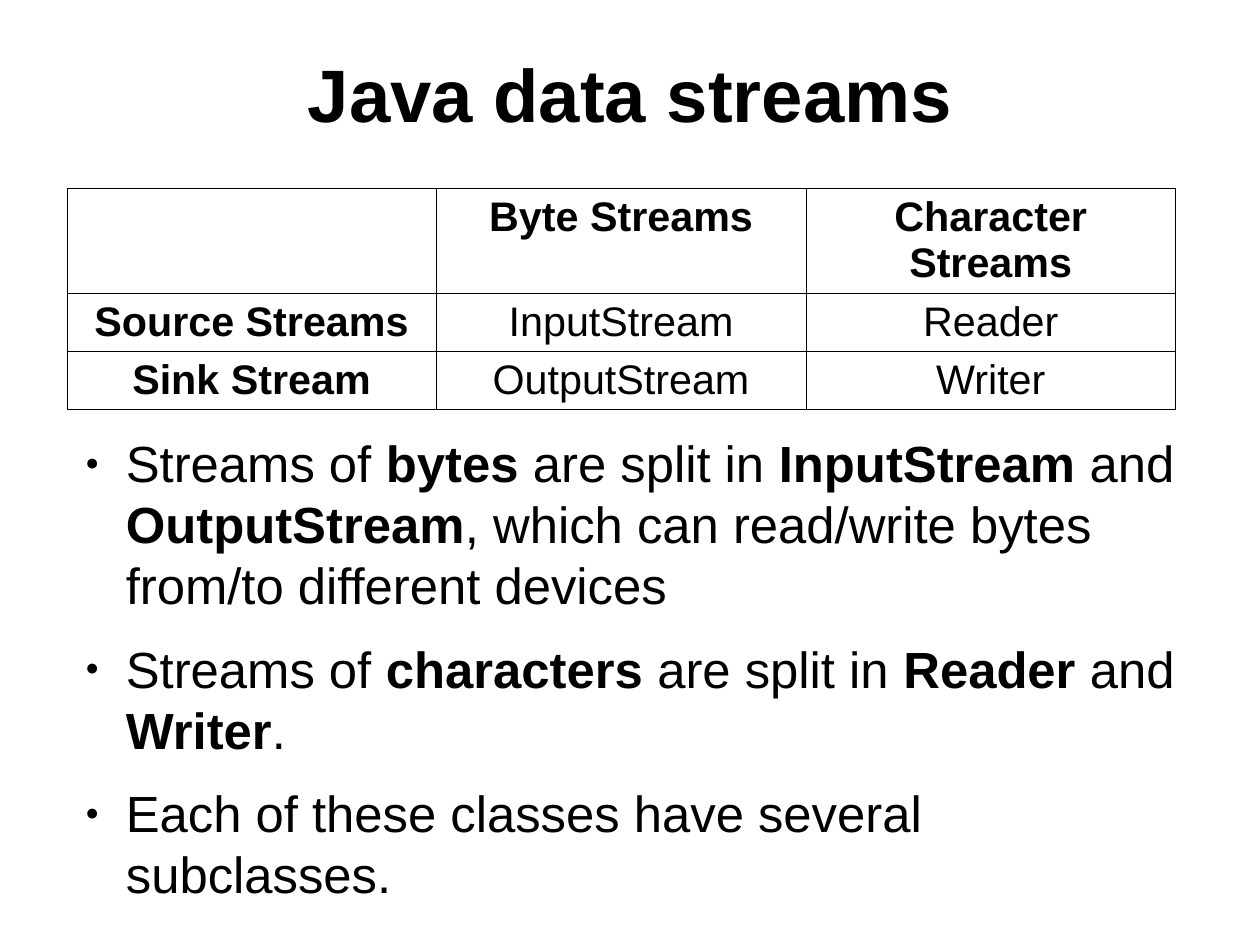
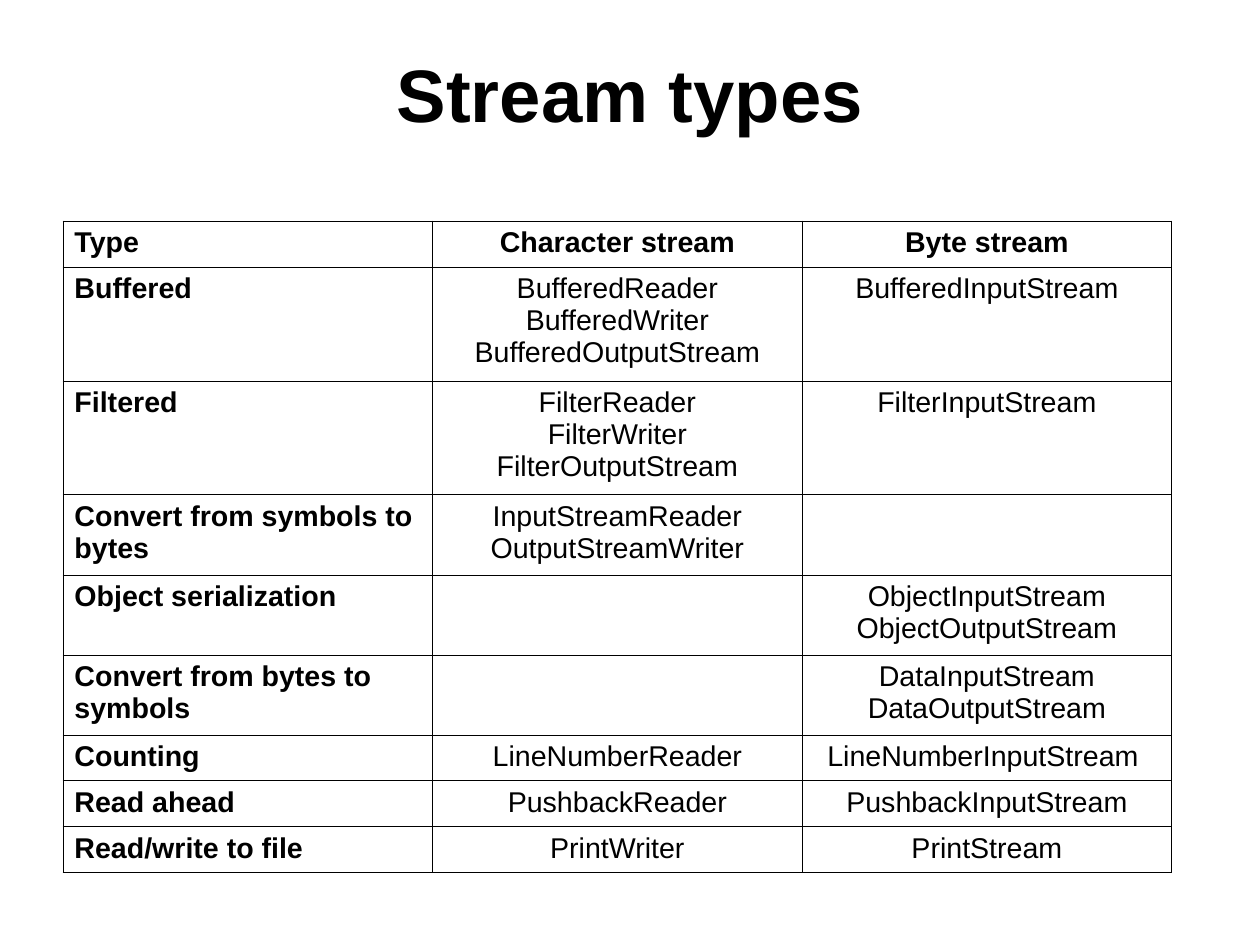
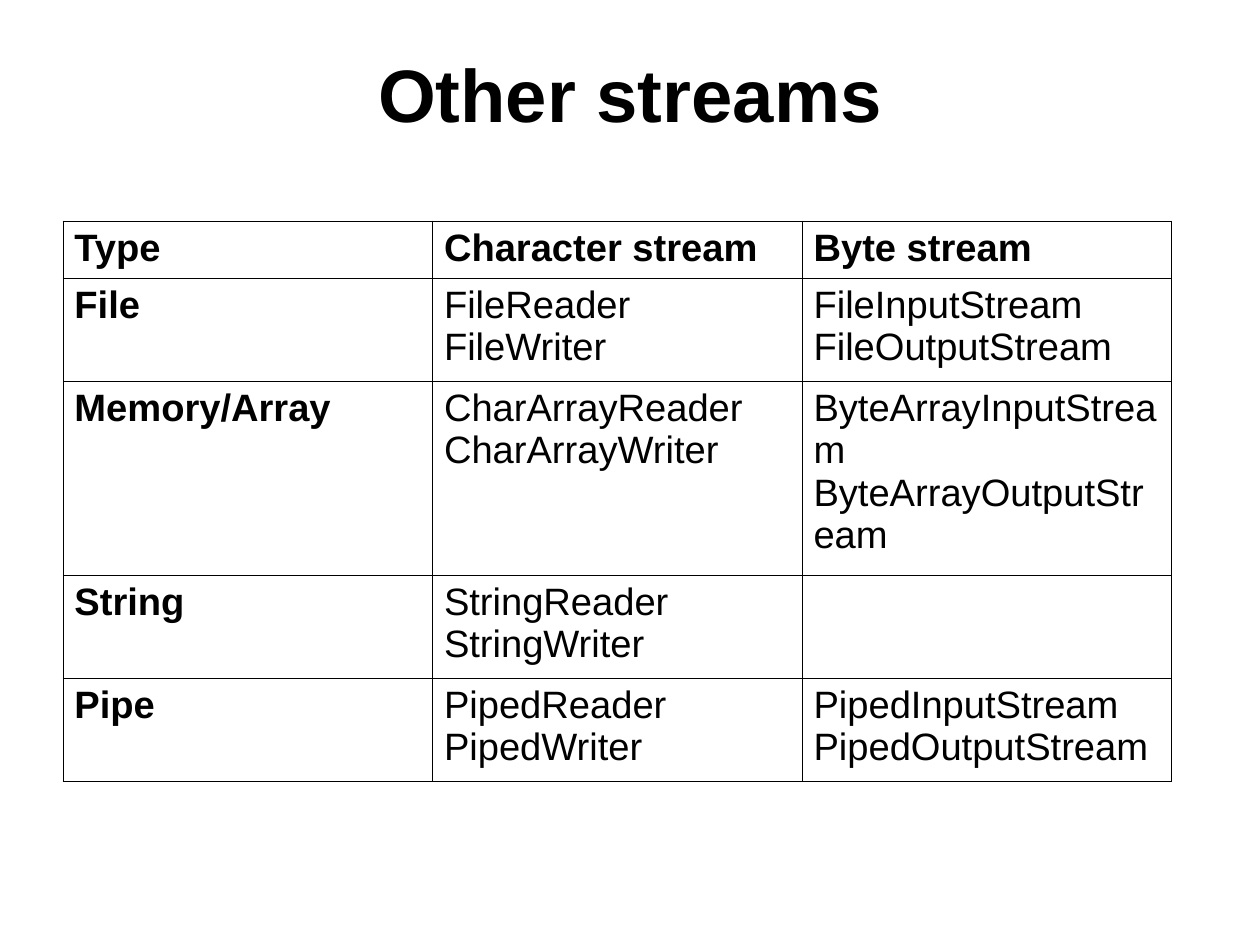
from dataclasses import dataclass

from lxml import etree
from pptx import Presentation
from pptx.dml.color import RGBColor
from pptx.enum.text import MSO_ANCHOR, MSO_AUTO_SIZE, PP_ALIGN
from pptx.oxml.ns import qn
from pptx.util import Pt

LEFT, CENTER = PP_ALIGN.LEFT, PP_ALIGN.CENTER
TOP, MIDDLE = MSO_ANCHOR.TOP, MSO_ANCHOR.MIDDLE
NO_AUTOFIT = MSO_AUTO_SIZE.NONE
TITLE_AND_CONTENT, TITLE_ONLY = 1, 5


@dataclass(frozen=True)
class Theme:
    font: str = "Arial"
    ink: str = "000000"
    title_size: float = 46.8
    body_size: float = 32
    stream_size: float = 26
    type_size: float = 18
    other_size: float = 24
    border_width: float = 0.57
    column_width: float = 232.8
    bullet: str = "●"
    bullet_percent: int = 45


THEME = Theme()
SLIDE_SIZE = (793.7, 595.25)
TITLE_BOX = (39.7, 23.8, 714.2, 69.8)
BODY_BOX = (45.3, 272.2, 698.4, 315)

STREAM_ROWS = [
    (66.2, ["", "Byte Streams", "Character Streams"]),
    (36.5, ["Source Streams", "InputStream", "Reader"]),
    (36.5, ["Sink Stream", "OutputStream", "Writer"]),
]
STREAM_POINTS = [
    "Streams of *bytes* are split in *InputStream* and *OutputStream*, "
    "which can read/write bytes from/to different devices",
    "Streams of *characters* are split in *Reader* and *Writer*.",
    "Each of these classes have several subclasses.",
]
TYPE_ROWS = [
    (28.9, ["Type", "Character stream", "Byte stream"]),
    (71.8, ["Buffered", "BufferedReader\nBufferedWriter\nBufferedOutputStream",
            "BufferedInputStream"]),
    (71.8, ["Filtered", "FilterReader\nFilterWriter\nFilterOutputStream",
            "FilterInputStream"]),
    (50.4, ["Convert from symbols to bytes", "InputStreamReader\nOutputStreamWriter", ""]),
    (50.4, ["Object serialization", "", "ObjectInputStream\nObjectOutputStream"]),
    (50.4, ["Convert from bytes to symbols", "", "DataInputStream\nDataOutputStream"]),
    (28.9, ["Counting", "LineNumberReader", "LineNumberInputStream "]),
    (28.9, ["Read ahead", "PushbackReader", "PushbackInputStream"]),
    (28.9, ["Read/write to file", "PrintWriter", "PrintStream"]),
]
OTHER_ROWS = [
    (35.9, ["Type", "Character stream", "Byte stream"]),
    (64.9, ["File", "FileReader\nFileWriter", "FileInputStream\nFileOutputStream"]),
    (122.2, ["Memory/Array", "CharArrayReader\nCharArrayWriter",
             "ByteArrayInputStream\nByteArrayOutputStream"]),
    (64.9, ["String", "StringReader\nStringWriter", ""]),
    (64.9, ["Pipe", "PipedReader\nPipedWriter", "PipedInputStream\nPipedOutputStream"]),
]


def set_attributes(target, values):
    for name, value in values.items():
        setattr(target, name, value)


def format_font(font, size, bold):
    set_attributes(font, {"name": THEME.font, "size": Pt(size), "bold": bold})
    font.color.rgb = RGBColor.from_string(THEME.ink)


def add_run(paragraph, text, size, bold):
    run = paragraph.add_run()
    run.text = text
    format_font(run.font, size, bold)


def place_placeholder(shape, box, anchor):
    set_attributes(shape, dict(zip(("left", "top", "width", "height"), map(Pt, box))))
    set_attributes(shape.text_frame, {
        "margin_left": 0, "margin_top": 0, "margin_right": 0, "margin_bottom": 0,
        "word_wrap": True, "auto_size": NO_AUTOFIT, "vertical_anchor": anchor})


def add_titled_slide(presentation, layout_index, title):
    slide = presentation.slides.add_slide(presentation.slide_layouts[layout_index])
    place_placeholder(slide.shapes.title, TITLE_BOX, MIDDLE)
    paragraph = slide.shapes.title.text_frame.paragraphs[0]
    paragraph.alignment = CENTER
    add_run(paragraph, title, THEME.title_size, True)
    return slide


def set_bullet(paragraph):
    properties = paragraph._p.get_or_add_pPr()
    properties.set("marL", str(Pt(34)))
    properties.set("indent", str(-Pt(25.5)))
    color = etree.SubElement(properties, qn("a:buClr"))
    etree.SubElement(color, qn("a:srgbClr"), val=THEME.ink)
    etree.SubElement(properties, qn("a:buSzPct"), val=str(THEME.bullet_percent * 1000))
    etree.SubElement(properties, qn("a:buFont"), typeface=THEME.font)
    etree.SubElement(properties, qn("a:buChar"), char=THEME.bullet)


def fill_body(body, points):
    place_placeholder(body, BODY_BOX, TOP)
    frame = body.text_frame
    for index, point in enumerate(points):
        paragraph = frame.add_paragraph() if index else frame.paragraphs[0]
        set_attributes(paragraph, {
            "alignment": LEFT, "line_spacing": 1.0,
            "space_before": Pt(0), "space_after": Pt(14.2)})
        set_bullet(paragraph)
        for part, text in enumerate(point.split("*")):
            add_run(paragraph, text, THEME.body_size, part % 2 == 1)


def set_borders(cell):
    properties = cell._tc.get_or_add_tcPr()
    for side in ("lnL", "lnR", "lnT", "lnB"):
        line = etree.SubElement(properties, qn(f"a:{side}"), w=str(Pt(THEME.border_width)))
        fill = etree.SubElement(line, qn("a:solidFill"))
        etree.SubElement(fill, qn("a:srgbClr"), val=THEME.ink)


def fill_cell(cell, text, size, bold, alignment):
    set_attributes(cell, {
        "margin_left": Pt(7.2), "margin_right": Pt(7.2),
        "margin_top": Pt(3.6), "margin_bottom": Pt(3.6), "vertical_anchor": TOP})
    set_borders(cell)
    cell.fill.background()
    cell.text = text
    for paragraph in cell.text_frame.paragraphs:
        paragraph.alignment = alignment
        for run in paragraph.runs:
            format_font(run.font, size, bold)


def add_stream_table(slide, left, top, rows, size, alignments):
    column_count = len(alignments)
    height = sum(row_height for row_height, _ in rows)
    table = slide.shapes.add_table(
        len(rows), column_count, Pt(left), Pt(top),
        Pt(THEME.column_width * column_count), Pt(height)).table
    set_attributes(table, {"first_row": False, "horz_banding": False})
    for row_index, (row_height, texts) in enumerate(rows):
        table.rows[row_index].height = Pt(row_height)
        for column_index, text in enumerate(texts):
            is_header = row_index == 0 or column_index == 0
            fill_cell(table.cell(row_index, column_index), text, size,
                      is_header, alignments[column_index])


def main():
    presentation = Presentation()
    presentation.slide_width, presentation.slide_height = map(Pt, SLIDE_SIZE)

    slide = add_titled_slide(presentation, TITLE_AND_CONTENT, "Java data streams")
    fill_body(slide.placeholders[1], STREAM_POINTS)
    add_stream_table(slide, 42.2, 118.8, STREAM_ROWS, THEME.stream_size, [CENTER] * 3)

    for title, rows, size, alignments in (
        ("Stream types", TYPE_ROWS, THEME.type_size, [LEFT, CENTER, CENTER]),
        ("Other streams", OTHER_ROWS, THEME.other_size, [LEFT] * 3),
    ):
        slide = add_titled_slide(presentation, TITLE_ONLY, title)
        add_stream_table(slide, 39.7, 139.3, rows, size, alignments)

    presentation.save("out.pptx")


if __name__ == "__main__":
    main()
